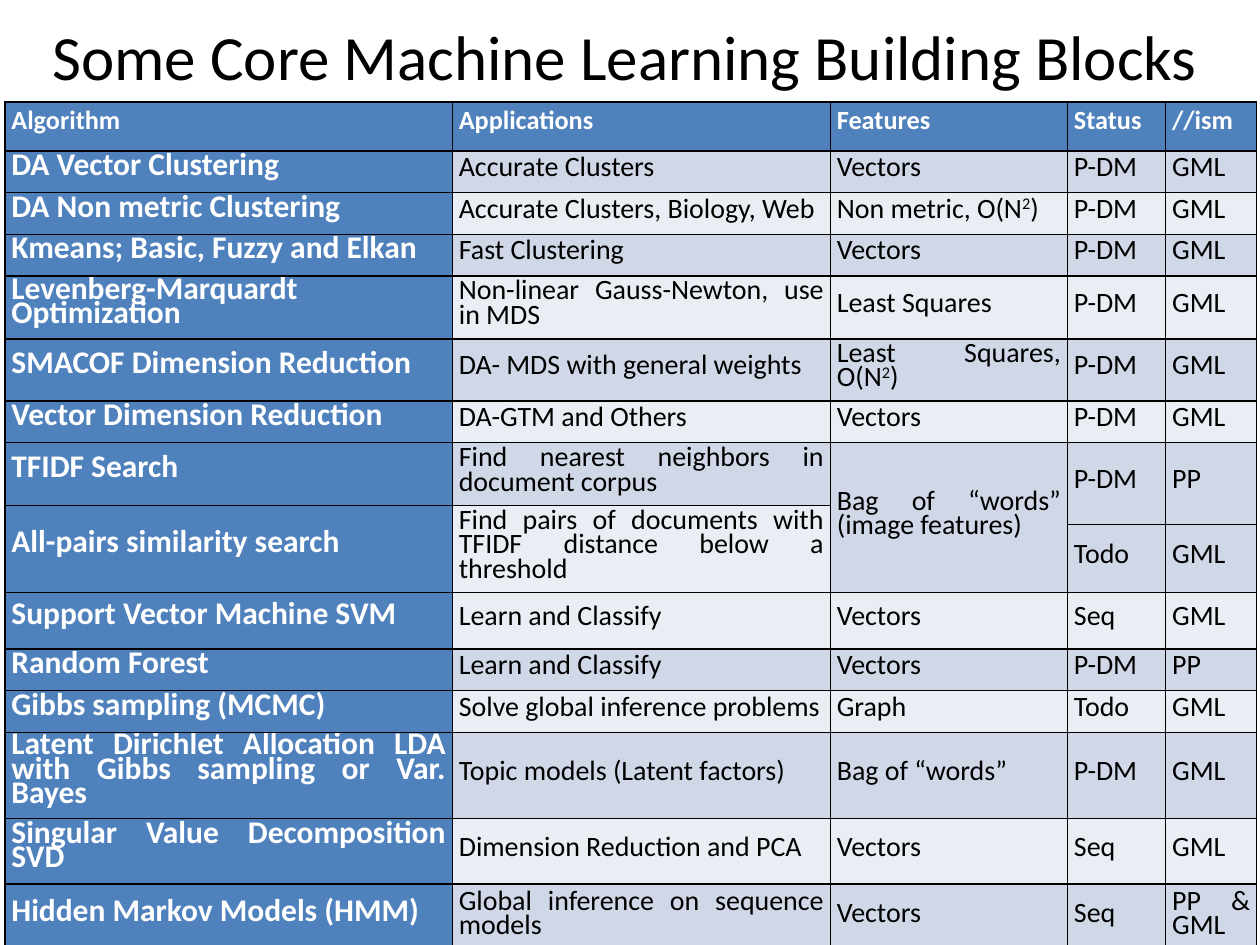
from dataclasses import dataclass
from typing import Optional

from lxml.etree import SubElement
from pptx import Presentation
from pptx.dml.color import RGBColor
from pptx.enum.text import MSO_ANCHOR, PP_ALIGN
from pptx.oxml.ns import qn
from pptx.util import Cm, Pt

BLACK, WHITE = "000000", "FFFFFF"
HEADER_FILL, BANDS = "4F81BD", ("E9EDF4", "D0D8E8")
COLUMN_WIDTHS = (9.02, 7.62, 4.78, 1.98, 1.83)


@dataclass
class Row:
    height: float
    algorithm: Optional[str]
    applications: Optional[str]
    features: Optional[str]
    status: Optional[str]
    parallelism: Optional[str]

    def texts(self) -> tuple:
        return (self.algorithm, self.applications, self.features,
                self.status, self.parallelism)


@dataclass
class Merge:
    column: int
    first: int
    last: int


ROWS = [
    Row(0.91, "Algorithm", "Applications", "Features", "Status", "//ism"),
    Row(0.84, "DA Vector Clustering", "Accurate Clusters", "Vectors", "P-DM", "GML"),
    Row(0.84, "DA Non metric Clustering", "Accurate Clusters, Biology, Web",
        "Non metric, O(N^2^)", "P-DM", "GML"),
    Row(0.84, "Kmeans; Basic, Fuzzy and Elkan", "Fast Clustering", "Vectors", "P-DM", "GML"),
    Row(1.27, "Levenberg-Marquardt Optimization", "Non-linear Gauss-Newton, use in MDS",
        "Least Squares", "P-DM", "GML"),
    Row(0.99, "SMACOF Dimension Reduction", "DA- MDS with general weights",
        "Least Squares, O(N^2^)", "P-DM", "GML"),
    Row(0.84, "Vector Dimension Reduction", "DA-GTM and Others", "Vectors", "P-DM", "GML"),
    Row(1.27, "TFIDF Search", "Find nearest neighbors in document corpus",
        "Bag of “words” (image features)", "P-DM", "PP"),
    Row(0.38, "All-pairs similarity search",
        "Find pairs of documents with TFIDF distance below a threshold", None, None, None),
    Row(1.37, None, None, None, "Todo", "GML"),
    Row(1.14, "Support Vector Machine SVM", "Learn and Classify", "Vectors", "Seq", "GML"),
    Row(0.84, "Random Forest", "Learn and Classify", "Vectors", "P-DM", "PP"),
    Row(0.84, "Gibbs sampling (MCMC)", "Solve global inference problems",
        "Graph", "Todo", "GML"),
    Row(1.65, "Latent Dirichlet Allocation LDA with Gibbs sampling or Var. Bayes",
        "Topic models (Latent factors)", "Bag of “words”", "P-DM", "GML"),
    Row(1.32, "Singular Value Decomposition SVD", "Dimension Reduction and PCA",
        "Vectors", "Seq", "GML"),
    Row(1.35, "Hidden Markov Models (HMM)", "Global inference on sequence models",
        "Vectors", "Seq", "PP & GML"),
]

MERGES = [Merge(0, 8, 9), Merge(1, 8, 9), Merge(2, 7, 9), Merge(3, 7, 8), Merge(4, 7, 8)]


def color(value: str) -> RGBColor:
    return RGBColor.from_string(value)


def write(tf, text: str, *, size: float, fill: str = BLACK, bold: bool = False,
          align=PP_ALIGN.LEFT, spacing: Optional[float] = None) -> None:
    p = tf.paragraphs[0]
    p.alignment = align
    if spacing:
        p.line_spacing = Pt(spacing)
    for i, part in enumerate(text.split("^")):
        r = p.add_run()
        r.text = part
        r.font.name = "Calibri"
        r.font.size = Pt(size)
        r.font.bold = bold
        r.font.color.rgb = color(fill)
        if i % 2:
            r.font._element.set("baseline", "30000")


def add_borders(cell) -> None:
    tc_pr = cell._tc.get_or_add_tcPr()
    for side in ("a:lnL", "a:lnR", "a:lnT", "a:lnB"):
        ln = SubElement(tc_pr, qn(side), w=str(Pt(1)))
        SubElement(SubElement(ln, qn("a:solidFill")), qn("a:srgbClr"), val=BLACK)


def format_cell(cell, fill: str, padding: float) -> None:
    add_borders(cell)
    cell.fill.solid()
    cell.fill.fore_color.rgb = color(fill)
    cell.vertical_anchor = MSO_ANCHOR.MIDDLE
    cell.margin_left = cell.margin_right = Cm(0.13)
    cell.margin_top = cell.margin_bottom = Cm(padding)


def add_title(s, text: str) -> None:
    tf = s.shapes.add_textbox(Cm(0), Cm(0.1), Cm(25.2), Cm(2.03)).text_frame
    tf.word_wrap = True
    tf.vertical_anchor = MSO_ANCHOR.MIDDLE
    write(tf, text, size=36, align=PP_ALIGN.CENTER)


def add_algorithm_table(s) -> None:
    table = s.shapes.add_table(
        len(ROWS), len(COLUMN_WIDTHS), Cm(0.1), Cm(2.06),
        Cm(sum(COLUMN_WIDTHS)), Cm(sum(row.height for row in ROWS))).table
    for column, width in zip(table.columns, COLUMN_WIDTHS):
        column.width = Cm(width)
    for i, row in enumerate(ROWS):
        table.rows[i].height = Cm(row.height)
        for j, text in enumerate(row.texts()):
            cell = table.cell(i, j)
            heading = i == 0 or j == 0
            fill = HEADER_FILL if heading else BANDS[i % 2]
            format_cell(cell, fill, 0.28 if i == 0 else 0.13)
            if text:
                write(cell.text_frame, text,
                      size=15 if i == 0 else 18 if j == 0 else 16,
                      fill=WHITE if heading else BLACK, bold=heading,
                      align=PP_ALIGN.JUSTIFY if i else PP_ALIGN.LEFT,
                      spacing=14 if i else 12)
    for m in MERGES:
        table.cell(m.first, m.column).merge(table.cell(m.last, m.column))


def main() -> None:
    prs = Presentation()
    prs.slide_width, prs.slide_height = Cm(25.4), Cm(19.05)
    s = prs.slides.add_slide(prs.slide_layouts[6])
    add_title(s, "Some Core Machine Learning Building Blocks")
    add_algorithm_table(s)
    prs.save("out.pptx")


if __name__ == "__main__":
    main()
